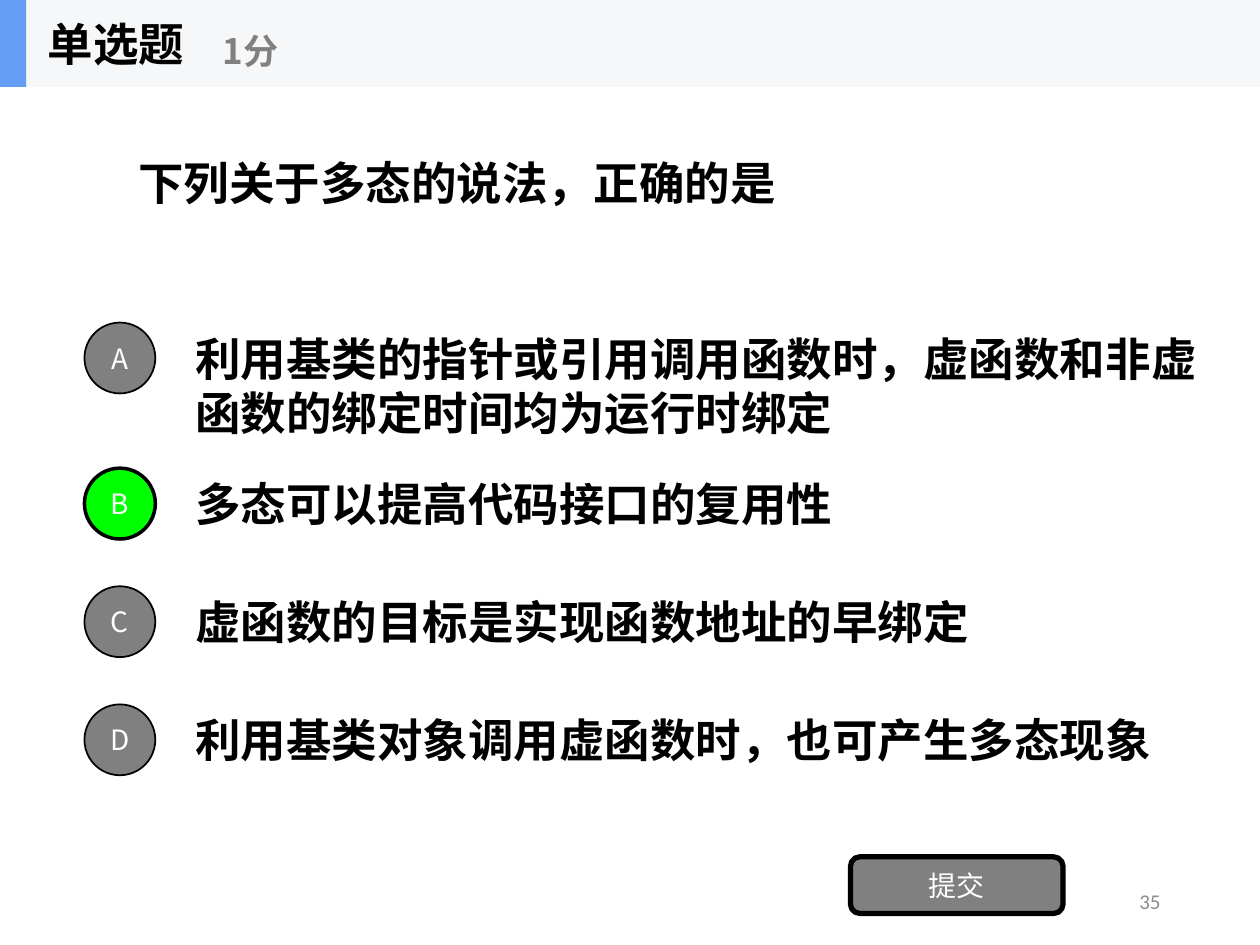
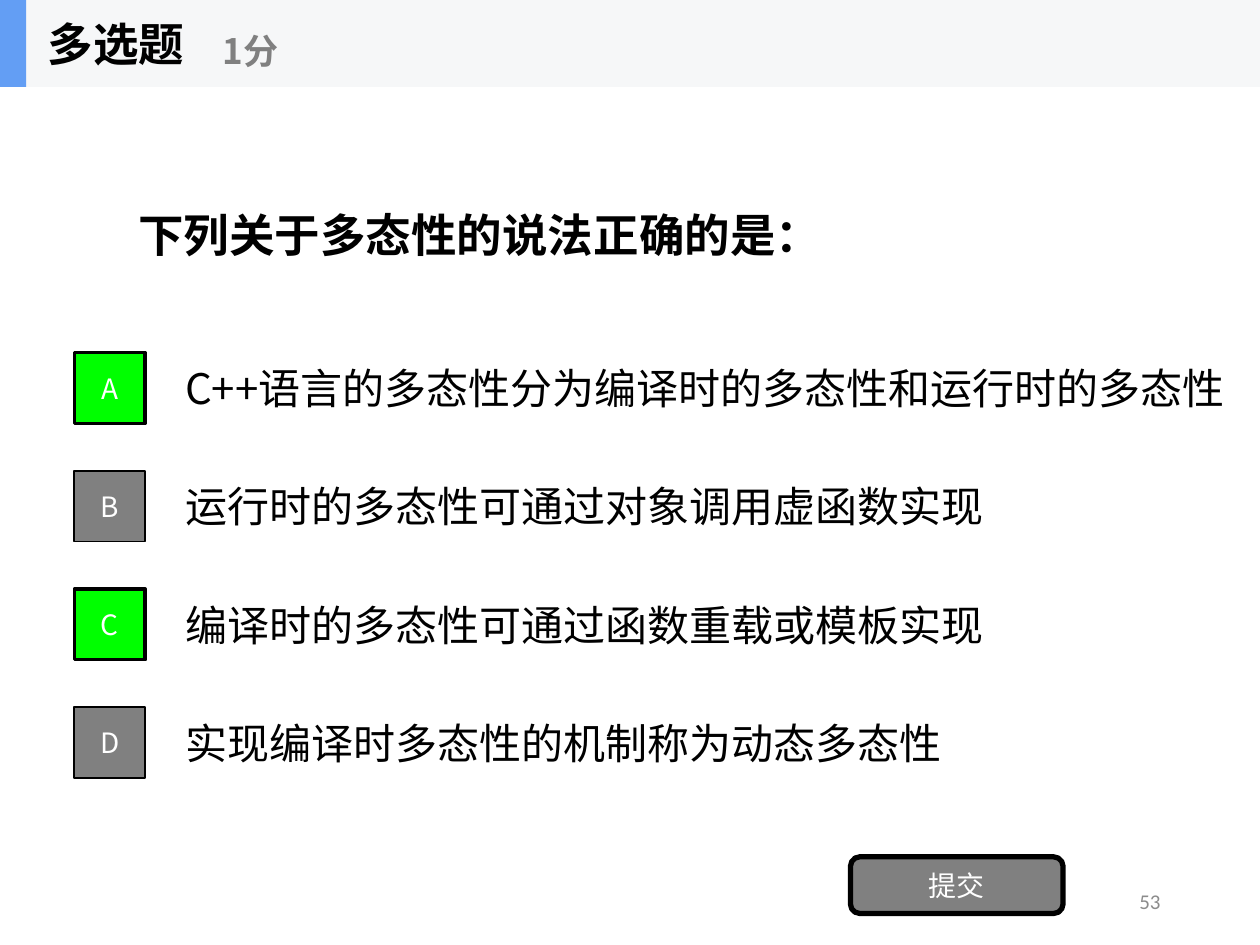
"""Build two quiz slides: a single-choice and a multiple-choice question."""
from lxml import etree
from pptx import Presentation
from pptx.dml.color import RGBColor
from pptx.enum import shapes, text
from pptx.oxml.ns import qn
from pptx.util import Pt

BLACK = RGBColor(0, 0, 0)
WHITE = RGBColor(255, 255, 255)
GRAY = RGBColor(0x80, 0x80, 0x80)
PALE = RGBColor(0x8C, 0x8C, 0x8C)
GREEN = RGBColor(0, 255, 0)
BAND = RGBColor(0xF6, 0xF7, 0xF8)
BLUE = RGBColor(0x63, 0x9E, 0xF4)

FONT = "Noto Sans CJK SC"
BAR = 49.7
STEP = 67.5
BADGE = 40.5

KIND = shapes.MSO_SHAPE
ALIGN = text.PP_ALIGN
HEAD = {"size": Pt(26), "bold": True}
PLAIN = {"size": Pt(24), "bold": False}
SCORE = {"size": Pt(20), "bold": True}
LABEL = {"size": Pt(16), "bold": False}
PAGE = {"size": Pt(12), "bold": False, "name": "Calibri"}

QUIZZES = [
    {
        "title": "单选题", "page": "35", "depth": 108.7,
        "ask": "下列关于多态的说法，正确的是",
        "kind": KIND.OVAL, "left": 48.25, "top": 195, "style": HEAD,
        "right": "B", "lift": {"A": 15.7},
        "options": [
            "利用基类的指针或引用调用函数时，虚函数和非虚\n函数的绑定时间均为运行时绑定",
            "多态可以提高代码接口的复用性",
            "虚函数的目标是实现函数地址的早绑定",
            "利用基类对象调用虚函数时，也可产生多态现象",
        ],
    },
    {
        "title": "多选题", "page": "53", "depth": 168.5,
        "ask": "下列关于多态性的说法正确的是：",
        "kind": KIND.RECTANGLE, "left": 42.5, "top": 196.5, "style": PLAIN,
        "right": "AC", "lift": {},
        "options": [
            "C++语言的多态性分为编译时的多态性和运行时的多态性",
            "运行时的多态性可通过对象调用虚函数实现",
            "编译时的多态性可通过函数重载或模板实现",
            "实现编译时多态性的机制称为动态多态性",
        ],
    },
]


def write(shape, words, style, color=BLACK, align=ALIGN.LEFT, wrap=True):
    """Put formatted text into a shape."""
    frame = shape.text_frame
    frame.text = words
    frame.word_wrap = wrap
    frame.auto_size = text.MSO_AUTO_SIZE.NONE
    frame.vertical_anchor = text.MSO_ANCHOR.MIDDLE
    for para in frame.paragraphs:
        para.alignment = align
        for run in para.runs:
            for key, value in {"name": FONT, **style}.items():
                setattr(run.font, key, value)
            run.font.color.rgb = color
            east = etree.SubElement(run.font._element, qn("a:ea"))
            east.set("typeface", run.font.name)


def label(slide, box, words, style, **look):
    """Add a text box."""
    write(slide.shapes.add_textbox(*map(Pt, box)), words, style, **look)


def block(slide, kind, box, fill, line=0):
    """Add a filled shape, outlined in black if a line width is given."""
    shape = slide.shapes.add_shape(kind, *map(Pt, box))
    shape.shadow.inherit = False
    shape.fill.solid()
    shape.fill.fore_color.rgb = fill
    if line:
        shape.line.color.rgb = BLACK
        shape.line.width = Pt(line)
    else:
        shape.line.fill.background()
    return shape


def button(slide, kind, box, words, fill, line):
    """Add a shape with a centred white label."""
    shape = block(slide, kind, box, fill, line)
    write(shape, words, LABEL, color=WHITE, align=ALIGN.CENTER)


def header(slide, words):
    """Add the top band with the title and the score."""
    block(slide, KIND.RECTANGLE, (0, 0, 720, BAR), BAND)
    block(slide, KIND.RECTANGLE, (0, 0, 15, BAR), BLUE)
    title = slide.shapes.title
    place = {"left": 20, "top": 0, "width": 150, "height": BAR}
    for key, value in place.items():
        setattr(title, key, Pt(value))
    write(title, words, HEAD, wrap=False)
    slide.shapes._spTree.append(title._element)
    label(slide, (120, 8.6, 180, 40.5), "1分", SCORE, color=GRAY, wrap=False)


def option(slide, quiz, row, words):
    """Add one answer with its lettered badge."""
    letter = "ABCD"[row]
    top = quiz["top"] + row * STEP
    left = quiz["left"]
    label(slide, (left + 56.2, top, 504, 50.5), words, quiz["style"], wrap=False)
    fill, line = (GREEN, 2) if letter in quiz["right"] else (GRAY, 1)
    rise = quiz["lift"].get(letter, 0)
    box = (left, top + 5 - rise, BADGE, BADGE)
    button(slide, quiz["kind"], box, letter, fill, line)


def build(deck, quiz):
    """Add one quiz slide."""
    slide = deck.slides.add_slide(deck.slide_layouts[5])
    header(slide, quiz["title"])
    label(slide, (72, BAR, 576, quiz["depth"]), quiz["ask"], HEAD)
    for row, words in enumerate(quiz["options"]):
        option(slide, quiz, row, words)
    button(slide, KIND.ROUNDED_RECTANGLE, (486, 489.6, 121.5, 32.4), "提交", GRAY, 3)
    label(slide, (508.3, 500.4, 162, 28.8), quiz["page"], PAGE,
          color=PALE, align=ALIGN.RIGHT)


def main():
    """Build and save the deck."""
    deck = Presentation()
    deck.slide_width, deck.slide_height = Pt(720), Pt(540)
    for quiz in QUIZZES:
        build(deck, quiz)
    deck.save("out.pptx")


main()
